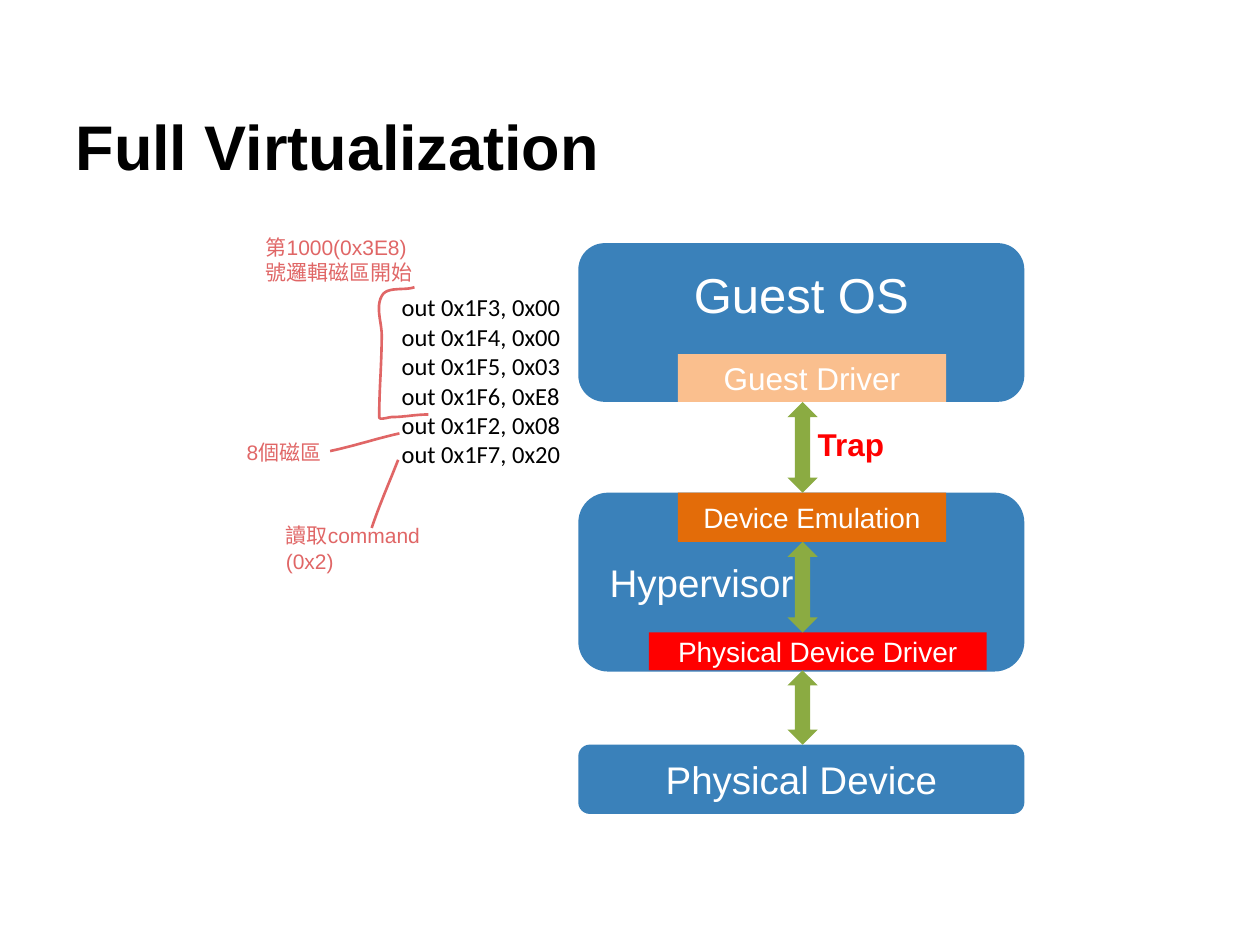
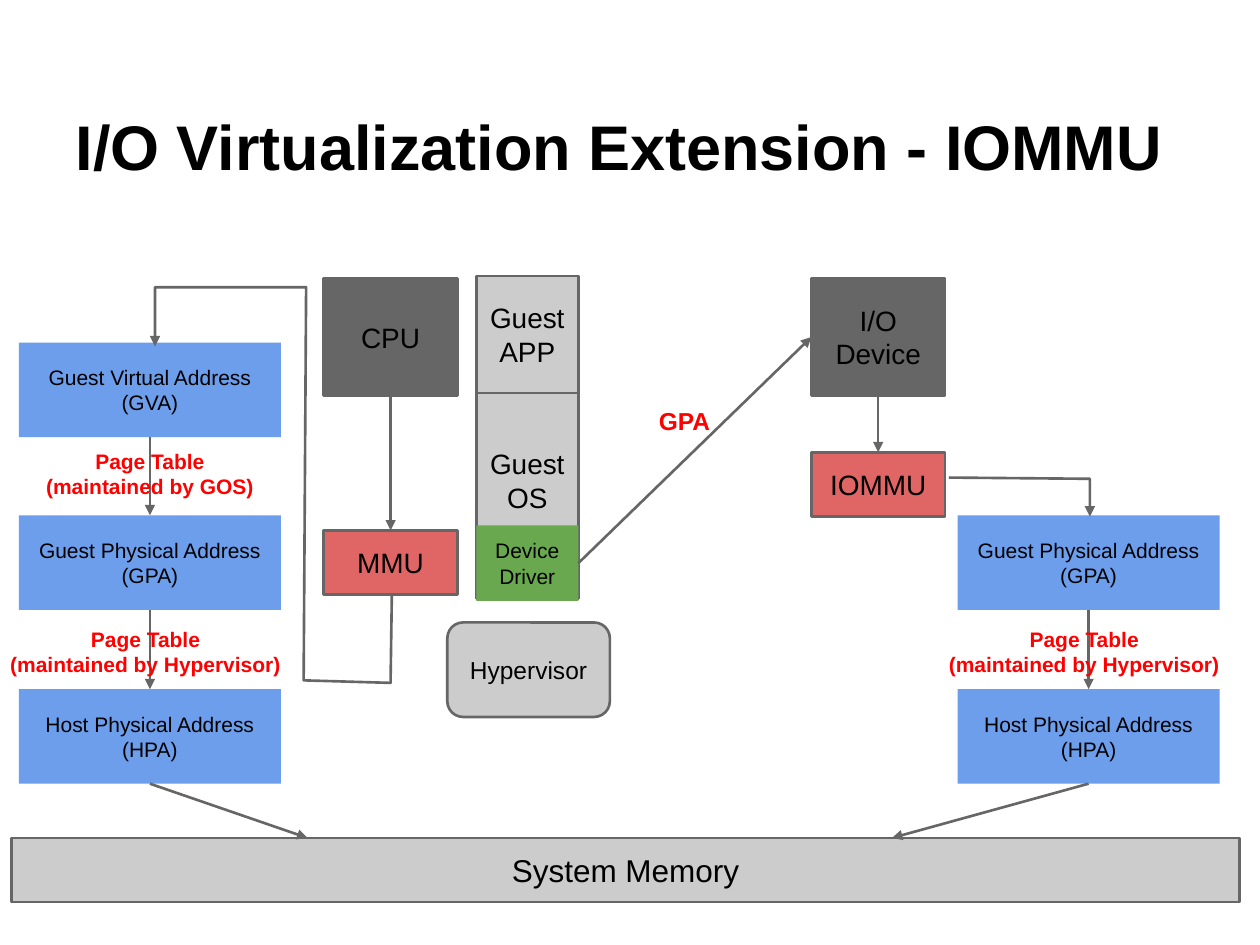
"""Builds two slides on full virtualization and the IOMMU extension."""
from lxml import etree
from pptx import Presentation
from pptx.dml.color import RGBColor
from pptx.enum.shapes import MSO_CONNECTOR, MSO_SHAPE
from pptx.enum.text import MSO_ANCHOR, MSO_AUTO_SIZE, PP_ALIGN
from pptx.oxml.ns import qn
from pptx.util import Inches, Pt

RECTANGLE, ROUNDED = MSO_SHAPE.RECTANGLE, MSO_SHAPE.ROUNDED_RECTANGLE
DOUBLE_ARROW, STRAIGHT = MSO_SHAPE.UP_DOWN_ARROW, MSO_CONNECTOR.STRAIGHT
TOP, MIDDLE, BOTTOM = MSO_ANCHOR.TOP, MSO_ANCHOR.MIDDLE, MSO_ANCHOR.BOTTOM
LEFT, CENTER, NO_FIT = PP_ALIGN.LEFT, PP_ALIGN.CENTER, MSO_AUTO_SIZE.NONE
SITE_TOP, SITE_LEFT, SITE_BOTTOM, SITE_RIGHT = range(4)

BLACK = RGBColor(0x00, 0x00, 0x00)
WHITE = RGBColor(0xFF, 0xFF, 0xFF)
RED = RGBColor(0xFF, 0x00, 0x00)
CORAL = RGBColor(0xE0, 0x66, 0x66)
LAYER_BLUE = RGBColor(0x3A, 0x81, 0xBA)
ADDRESS_BLUE = RGBColor(0x6D, 0x9E, 0xEB)
PEACH = RGBColor(0xFA, 0xBF, 0x8E)
ORANGE = RGBColor(0xE3, 0x6C, 0x09)
ARROW_GREEN = RGBColor(0x8B, 0xAB, 0x42)
DRIVER_GREEN = RGBColor(0x6A, 0xA8, 0x4F)
LIGHT_GRAY = RGBColor(0xCC, 0xCC, 0xCC)
DARK_GRAY = RGBColor(0x66, 0x66, 0x66)

COLUMNS, ROWS = 100, 75
LINE_WIDTH = Pt(1.5)
CURVE_STEPS = 12
TITLE_LAYOUT = 5


class SlideBuilder:
    """Holds the style and current slide, placing elements on a grid of 100 by 75."""

    def __init__(self):
        """Open a blank presentation of 10 by 7.5 inches."""
        self.presentation = Presentation()
        self.presentation.slide_width = Inches(10)
        self.presentation.slide_height = Inches(7.5)
        self.slide = None

    def point(self, column, row):
        """Turn a grid position into slide lengths."""
        return (round(self.presentation.slide_width * column / COLUMNS),
                round(self.presentation.slide_height * row / ROWS))

    def area(self, left, top, width, height):
        """Turn a grid area into slide lengths."""
        return self.point(left, top) + self.point(width, height)

    def set_text(self, shape, text, size, color, bold=False, align=LEFT, anchor=TOP,
                 font="Arial", insets=(0.1, 0.1, 0.1, 0.1)):
        """Fill a shape with formatted text, one paragraph a line."""
        left, top, right, bottom = map(Inches, insets)
        frame = shape.text_frame
        frame_format = {"word_wrap": True, "auto_size": NO_FIT, "vertical_anchor": anchor,
                        "margin_left": left, "margin_top": top,
                        "margin_right": right, "margin_bottom": bottom}
        for name, value in frame_format.items():
            setattr(frame, name, value)
        frame.text = text
        font_format = {"name": font, "size": Pt(size), "bold": bold}
        for paragraph in frame.paragraphs:
            paragraph.alignment = align
            for name, value in font_format.items():
                setattr(paragraph.font, name, value)
            paragraph.font.color.rgb = color

    def start_slide(self, title):
        """Add a slide with its title."""
        layout = self.presentation.slide_layouts[TITLE_LAYOUT]
        self.slide = self.presentation.slides.add_slide(layout)
        shape = self.slide.shapes.title
        shape.left, shape.top, shape.width, shape.height = self.area(5, 3, 90, 12.5)
        self.set_text(shape, title, 36, BLACK, bold=True, anchor=BOTTOM)

    def shape(self, kind, area, fill, outline=None):
        """Add a filled preset shape, outlined if a colour is given."""
        shape = self.slide.shapes.add_shape(kind, *self.area(*area))
        shape.shadow.inherit = False
        shape.fill.solid()
        shape.fill.fore_color.rgb = fill
        if outline is None:
            shape.line.fill.background()
        else:
            self.stroke(shape, outline)
        return shape

    def box(self, area, fill, text, size, color=BLACK, kind=RECTANGLE, outline=None, **style):
        """Add a shape with text in its middle."""
        shape = self.shape(kind, area, fill, outline)
        self.set_text(shape, text, size, color, **{"align": CENTER, "anchor": MIDDLE, **style})
        return shape

    def layer(self, top, height, text, size, **style):
        """Add a wide blue layer of the virtualization stack."""
        self.box((45.9, top, 35.4, height), LAYER_BLUE, text, size, WHITE, ROUNDED, **style)

    def label(self, area, text, size, color, **style):
        """Add a text box."""
        shape = self.slide.shapes.add_textbox(*self.area(*area))
        self.set_text(shape, text, size, color, **style)

    def stroke(self, shape, color, arrow=False):
        """Draw a line in the common width, with an arrowhead on request."""
        shape.line.color.rgb = color
        shape.line.width = LINE_WIDTH
        if arrow:
            line = shape.element.spPr.find(qn("a:ln"))
            etree.SubElement(line, qn("a:tailEnd"), type="triangle")

    def arrow(self, start, start_site, end, end_site=None):
        """Join a shape's side to another shape's side or to a grid position."""
        target = self.point(*end) if end_site is None else (0, 0)
        connector = self.slide.shapes.add_connector(STRAIGHT, 0, 0, *target)
        connector.begin_connect(start, start_site)
        if end_site is not None:
            connector.end_connect(end, end_site)
        self.stroke(connector, DARK_GRAY, arrow=True)
        etree.SubElement(connector.element.spPr, qn("a:effectLst"))

    def route(self, points, color, arrow=False):
        """Add an open line through grid positions."""
        start, *others = [self.point(*point) for point in points]
        builder = self.slide.shapes.build_freeform(*start)
        builder.add_line_segments(others, close=False)
        shape = builder.convert_to_shape()
        shape.shadow.inherit = False
        shape.fill.background()
        self.stroke(shape, color, arrow)

    def curve(self, start, *bends):
        """Add a hand-drawn line made of cubic bends."""
        points = [start]
        for bend in bends:
            controls = (points[-1], *bend)
            for step in range(1, CURVE_STEPS + 1):
                t = step / CURVE_STEPS
                weights = ((1 - t) ** 3, 3 * t * (1 - t) ** 2, 3 * t ** 2 * (1 - t), t ** 3)
                points.append(tuple(sum(weight * control[axis]
                                        for weight, control in zip(weights, controls))
                                    for axis in (0, 1)))
        self.route(points, CORAL)

    def address(self, left, top, text):
        """Add an address space box."""
        return self.box((left, top, 20.8, 7.5), ADDRESS_BLUE, text, 12)

    def page_table(self, left, top, owner):
        """Add the red note on who keeps a page table."""
        self.label((left - 1.5, top, 23.1, 2.6), f"Page Table\n(maintained by {owner})", 12, RED,
                   bold=True, align=CENTER, insets=(0, 0.1, 0, 0.1))

    def physical_addresses(self, left, memory_column):
        """Add the guest to host address steps down to system memory."""
        guest = self.address(left, 40.9, "Guest Physical Address\n(GPA)")
        host = self.address(left, 54.7, "Host Physical Address\n(HPA)")
        self.arrow(guest, SITE_BOTTOM, host, SITE_TOP)
        self.page_table(left, 48.7, "Hypervisor")
        self.arrow(host, SITE_BOTTOM, (memory_column, 66.5))
        return guest

    def unit_pair(self, left, unit_text, translator_top, translator_text):
        """Add a hardware unit above the unit that translates its addresses."""
        unit = self.box((left, 22.1, 10.6, 9.3), DARK_GRAY, unit_text, 16, outline=DARK_GRAY)
        translator = self.box((left, translator_top, 10.6, 5.1), CORAL, translator_text, 16,
                              outline=DARK_GRAY)
        self.arrow(unit, SITE_BOTTOM, translator, SITE_TOP)
        return unit


def build_full_virtualization(builder):
    """Build the stack of layers with the trapped port writes."""
    builder.start_slide("Full Virtualization")
    tight = (0.1, 0.05, 0.1, 0.05)
    builder.layer(19.3, 12.6, "Guest OS", 28, insets=(0.1, 0.05, 0.1, 0.5))
    builder.layer(39.1, 14.2, "Hypervisor", 22, align=LEFT, insets=(0.18, 0.05, 0.1, 0.05))
    builder.layer(59.1, 5.5, "Physical Device", 22, insets=tight)
    parts = [((53.8, 28.1, 21.3, 3.8), PEACH, "Guest Driver", 18),
             ((53.8, 39.1, 21.3, 3.9), ORANGE, "Device Emulation", 16),
             ((51.5, 50.2, 26.8, 3), RED, "Physical Device Driver", 16)]
    for area, fill, text, size in parts:
        builder.box(area, fill, text, size, WHITE, insets=tight)
    for top, bottom in ((31.9, 39.1), (43, 50.2), (53.2, 59.1)):
        builder.shape(DOUBLE_ARROW, (62.5, top, 2.4, bottom - top), ARROW_GREEN)
    builder.label((63.2, 32.7, 9.3, 3.8), "Trap", 18, RED, bold=True,
                  insets=(0.17, 0.1, 0.1, 0.1))

    port_values = [("0x1F3", "0x00"), ("0x1F4", "0x00"), ("0x1F5", "0x03"),
                   ("0x1F6", "0xE8"), ("0x1F2", "0x08"), ("0x1F7", "0x20")]
    commands = "\n".join(f"out {port}, {value}" for port, value in port_values)
    builder.label((30.9, 22.2, 16, 15.4), commands, 14, BLACK, font="Calibri")
    notes = [((20.1, 17.6, 13.9, 7.2), "第1000(0x3E8)號邏輯磁區開始"),
             ((21.7, 40.5, 13.9, 7.2), "讀取command (0x2)"),
             ((18.6, 33.9, 9.3, 5.5), "8個磁區")]
    for area, text in notes:
        builder.label(area, text, 12, CORAL)
    builder.curve((32.9, 22.8),
                  ((32.1, 23.1), (30.7, 22.7), (30.3, 23.5)),
                  ((29.8, 24.4), (30.3, 25.6), (30.3, 26.6)),
                  ((30.3, 28.8), (30.1, 30.9), (30.1, 33.1)),
                  ((30.1, 33.4), (30.8, 33.1), (31.2, 33.1)),
                  ((32.1, 33.1), (33, 32.9), (34, 32.9)))
    builder.curve((31.6, 36.5), ((30.9, 38.3), (30.1, 40.1), (29.5, 41.9)))
    builder.curve((31.7, 34.4), ((29.9, 34.8), (28.1, 35.4), (26.2, 35.8)))


def build_iommu(builder):
    """Build the address translation paths of the CPU and the I/O device."""
    builder.start_slide("I/O Virtualization Extension - IOMMU")
    gray = {"fill": LIGHT_GRAY, "outline": DARK_GRAY}
    builder.box((37.8, 31.2, 8.1, 16.3), text="Guest\nOS", size=16,
                insets=(0.1, 0.1, 0.1, 0.35), **gray)
    builder.box((37.8, 21.9, 8.1, 9.3), text="Guest\nAPP", size=16, **gray)
    builder.box((35.5, 49.4, 12.9, 7.5), text="Hypervisor", size=14, kind=ROUNDED, **gray)
    builder.box((0.9, 66.5, 97.5, 5.1), text="System Memory", size=18, **gray)
    driver = builder.box((37.8, 41.7, 8.1, 6), DRIVER_GREEN, "Device Driver", 12)

    cpu_side, device_side = 1.5, 76
    virtual = builder.address(cpu_side, 27.2, "Guest Virtual Address\n(GVA)")
    guest = builder.physical_addresses(cpu_side, 24.4)
    builder.arrow(virtual, SITE_BOTTOM, guest, SITE_TOP)
    builder.page_table(cpu_side + 0.35, 34.6, "GOS")
    builder.physical_addresses(device_side, 70.8)

    builder.unit_pair(25.7, "CPU", 42.1, "MMU")
    device = builder.unit_pair(64.4, "I/O Device", 35.9, "IOMMU")
    builder.arrow(driver, SITE_RIGHT, device, SITE_LEFT)
    builder.label((51.3, 31.2, 7.2, 2.6), "GPA", 14, RED, bold=True)
    builder.route([(31.1, 47.2), (31, 54.2), (24.1, 54), (24.3, 22.8), (12.3, 22.8),
                   (12.3, 27.5)], DARK_GRAY, arrow=True)
    builder.route([(75.3, 37.9), (86.5, 38), (86.5, 41)], DARK_GRAY, arrow=True)


def main():
    """Build both slides and save them."""
    builder = SlideBuilder()
    build_full_virtualization(builder)
    build_iommu(builder)
    builder.presentation.save("out.pptx")


if __name__ == "__main__":
    main()
